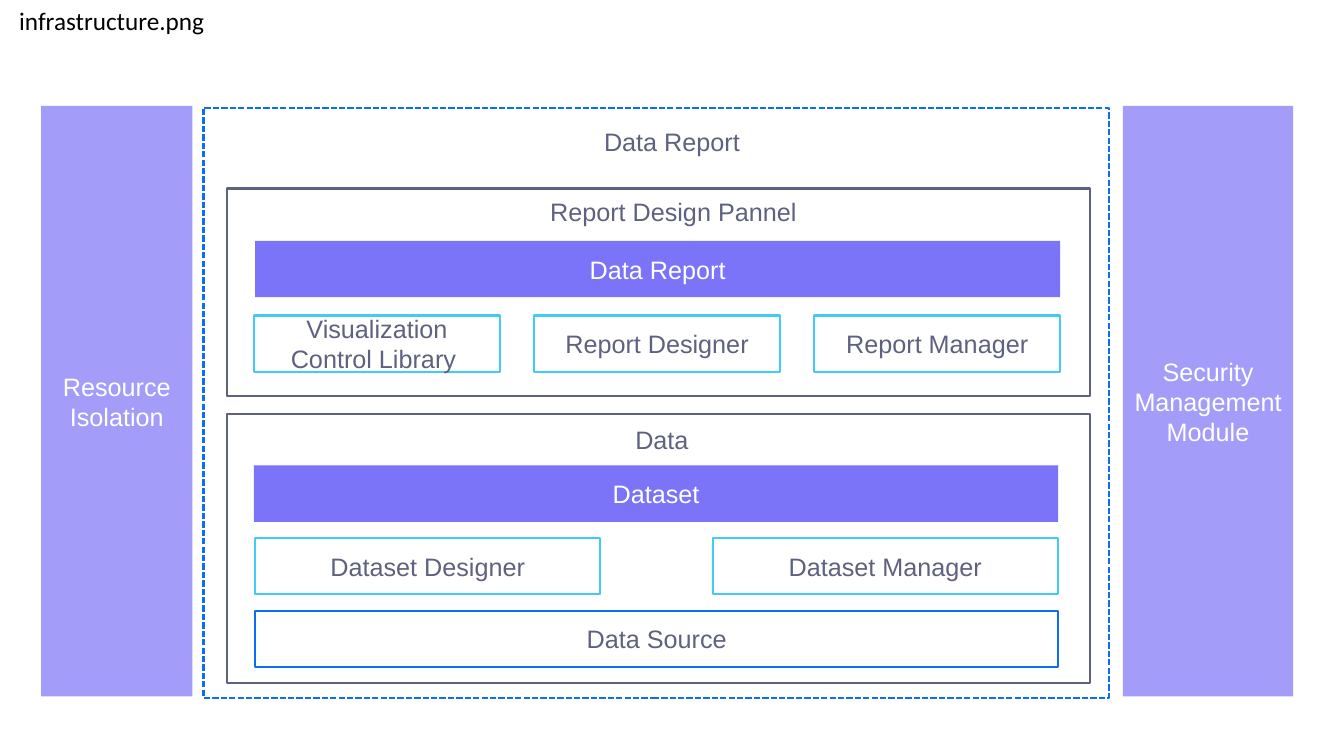
"""Build a slide showing the layered architecture of a data reporting system."""
from dataclasses import dataclass

from pptx import Presentation, util as u
from pptx.dml.color import RGBColor
from pptx.enum import dml, shapes, text

SLATE, WHITE, VIOLET, LILAC = "5E6280", "FFFFFF", "7C74F8", "A39DF9"
CYAN, BLUE = "42CBF5", "0A6EFA"
ROW_HEIGHT, LABEL_HEIGHT = 1.42, 1.02


@dataclass(frozen=True)
class Block:
    """A rectangle measured in centimetres, with optional fill, outline and words."""
    left: float
    top: float
    width: float
    height: float = ROW_HEIGHT
    words: str = ""
    fill: str = ""
    line: str = ""
    dashed: bool = False


@dataclass(frozen=True)
class Label:
    """A centred heading measured in centimetres."""
    left: float
    top: float
    width: float
    words: str


def colour(value: str) -> RGBColor:
    """Turn a hex string into a colour."""
    return RGBColor.from_string(value)


def write(frame, words: str, ink: str, font: str = "Arial", align=text.PP_ALIGN.CENTER) -> None:
    """Put one formatted paragraph into a text frame."""
    frame.text = words
    para = frame.paragraphs[0]
    para.alignment = align
    para.font.name = font
    para.font.size = u.Pt(18)
    para.font.color.rgb = colour(ink)


def draw_block(page, block: Block) -> None:
    """Draw one rectangle."""
    box = page.shapes.add_shape(
        shapes.MSO_SHAPE.RECTANGLE,
        *map(u.Cm, (block.left, block.top, block.width, block.height)))
    box.shadow.inherit = False
    if block.fill:
        box.fill.solid()
        box.fill.fore_color.rgb = colour(block.fill)
    else:
        box.fill.background()
    if block.line:
        box.line.color.rgb = colour(block.line)
        box.line.width = u.Pt(1.5)
        if block.dashed:
            box.line.dash_style = dml.MSO_LINE.SQUARE_DOT
    else:
        box.line.fill.background()
    if block.words:
        box.text_frame.vertical_anchor = text.MSO_ANCHOR.MIDDLE
        write(box.text_frame, block.words, WHITE if block.fill else SLATE)


def draw_label(page, label: Label) -> None:
    """Draw one heading."""
    box = page.shapes.add_textbox(
        *map(u.Cm, (label.left, label.top, label.width, LABEL_HEIGHT)))
    box.text_frame.word_wrap = True
    box.text_frame.auto_size = text.MSO_AUTO_SIZE.SHAPE_TO_FIT_TEXT
    write(box.text_frame, label.words, SLATE)


def draw_title(page, words: str) -> None:
    """Move the title placeholder to the top left corner and fill it."""
    title = page.shapes.title
    title.left, title.top, title.width, title.height = map(
        u.Cm, (0.23, 0, 5.23, LABEL_HEIGHT))
    frame = title.text_frame
    frame.word_wrap = False
    frame.auto_size = text.MSO_AUTO_SIZE.SHAPE_TO_FIT_TEXT
    frame.vertical_anchor = text.MSO_ANCHOR.TOP
    write(frame, words, "000000", "Calibri", text.PP_ALIGN.LEFT)


def tile_row(left: float, top: float, width: float, pitch: float, names: list[str]) -> list[Block]:
    """Lay out equally spaced cyan tiles."""
    return [Block(left + i * pitch, top, width, words=name, line=CYAN)
            for i, name in enumerate(names)]


BLOCKS = [
    Block(5.72, 4.75, 21.74, 5.23, line=SLATE),
    Block(5.72, 10.44, 21.74, 6.78, line=SLATE),
    Block(6.43, 6.07, 20.29, words="Data Report", fill=VIOLET),
    *tile_row(6.4, 7.95, 6.2, 7.06,
              ["Visualization Control Library ", "Report Designer", "Report Manager"]),
    Block(6.4, 11.73, 20.27, words="Dataset", fill=VIOLET),
    *tile_row(6.43, 13.56, 8.7, 11.53, ["Dataset Designer", "Dataset Manager"]),
    Block(6.43, 15.39, 20.24, words="Data Source", line=BLUE),
    Block(1.04, 2.67, 3.81, 14.88, "Resource Isolation", LILAC),
    Block(28.3, 2.67, 4.29, 14.88, "Security Management Module", LILAC),
    Block(5.13, 2.72, 22.81, 14.86, line=BLUE, dashed=True),
]
LABELS = [
    Label(13.16, 4.83, 7.62, "Report Design Pannel"),
    Label(14.38, 10.57, 4.6, "Data"),
    Label(14.27, 3.05, 5.33, "Data Report"),
]

deck = Presentation()
deck.slide_width, deck.slide_height = u.Cm(33.87), u.Cm(19.05)
page = deck.slides.add_slide(deck.slide_layouts.get_by_name("Title Only"))
draw_title(page, "infrastructure.png")
for block in BLOCKS:
    draw_block(page, block)
for label in LABELS:
    draw_label(page, label)
deck.save("out.pptx")
